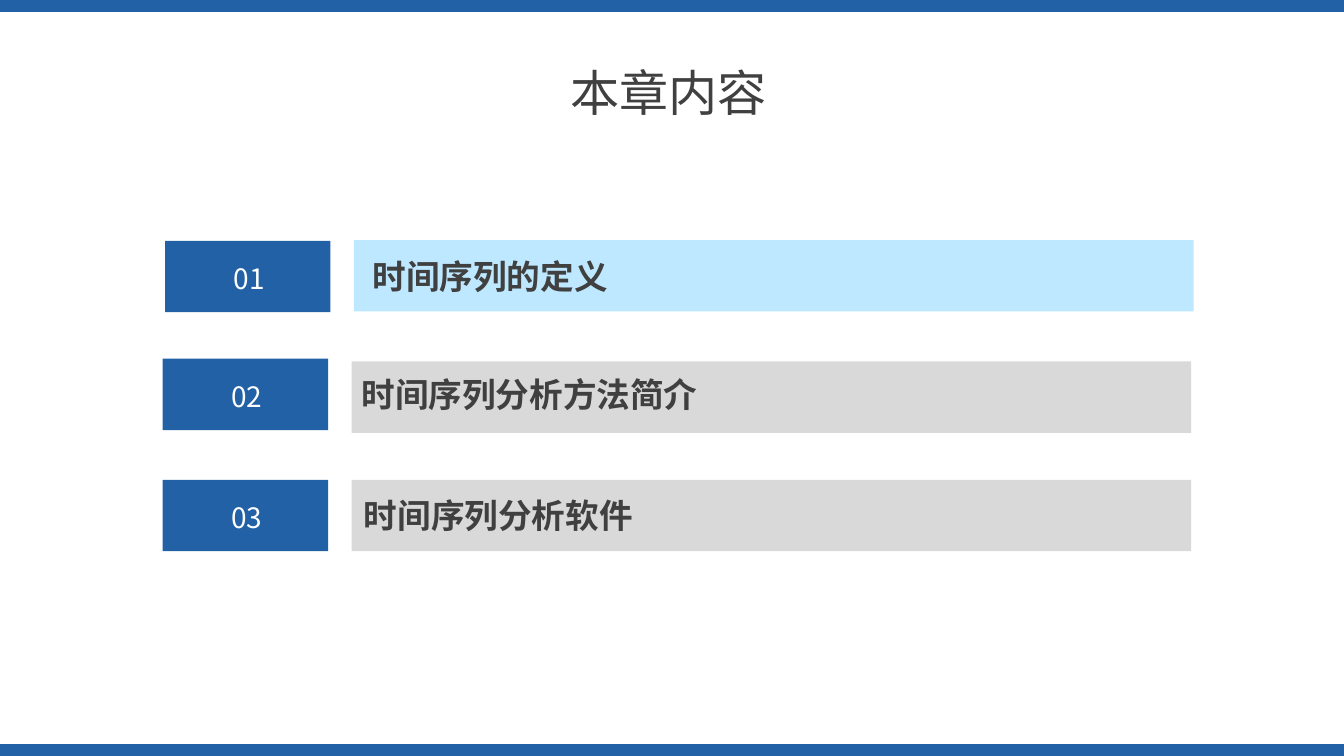
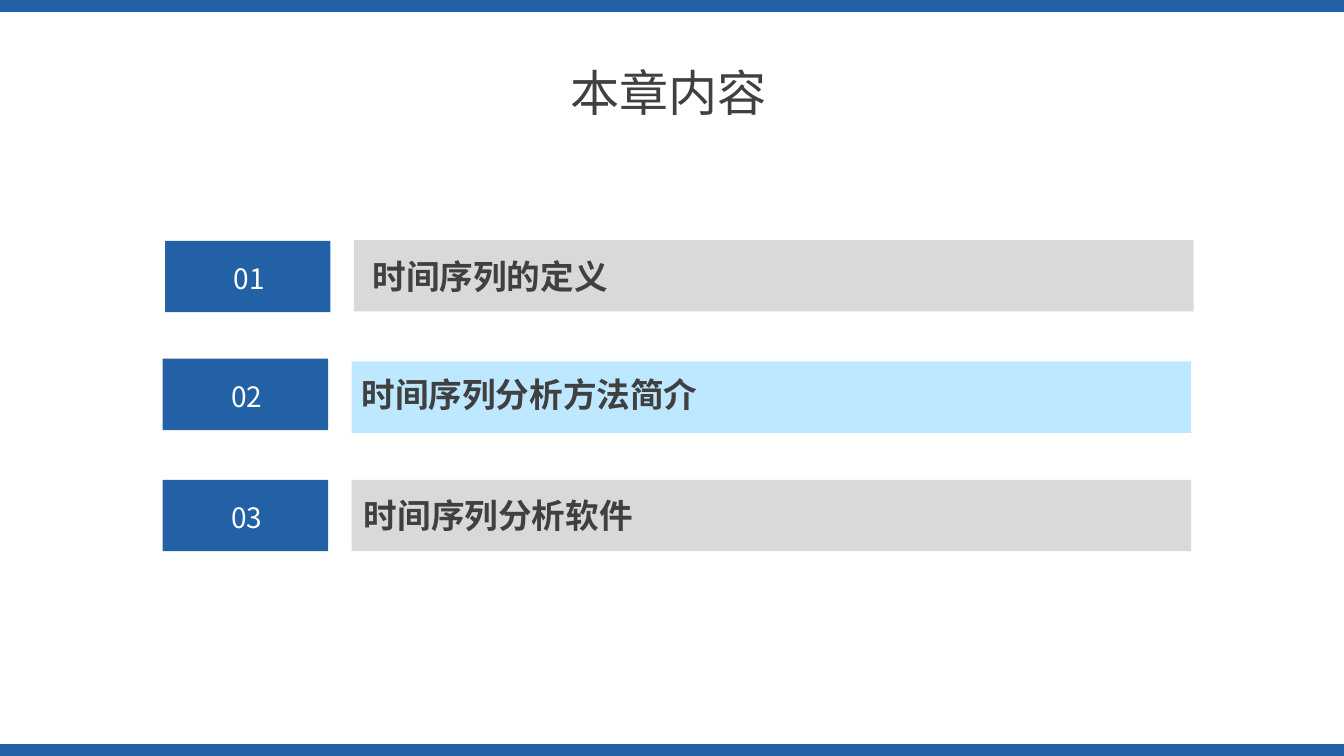
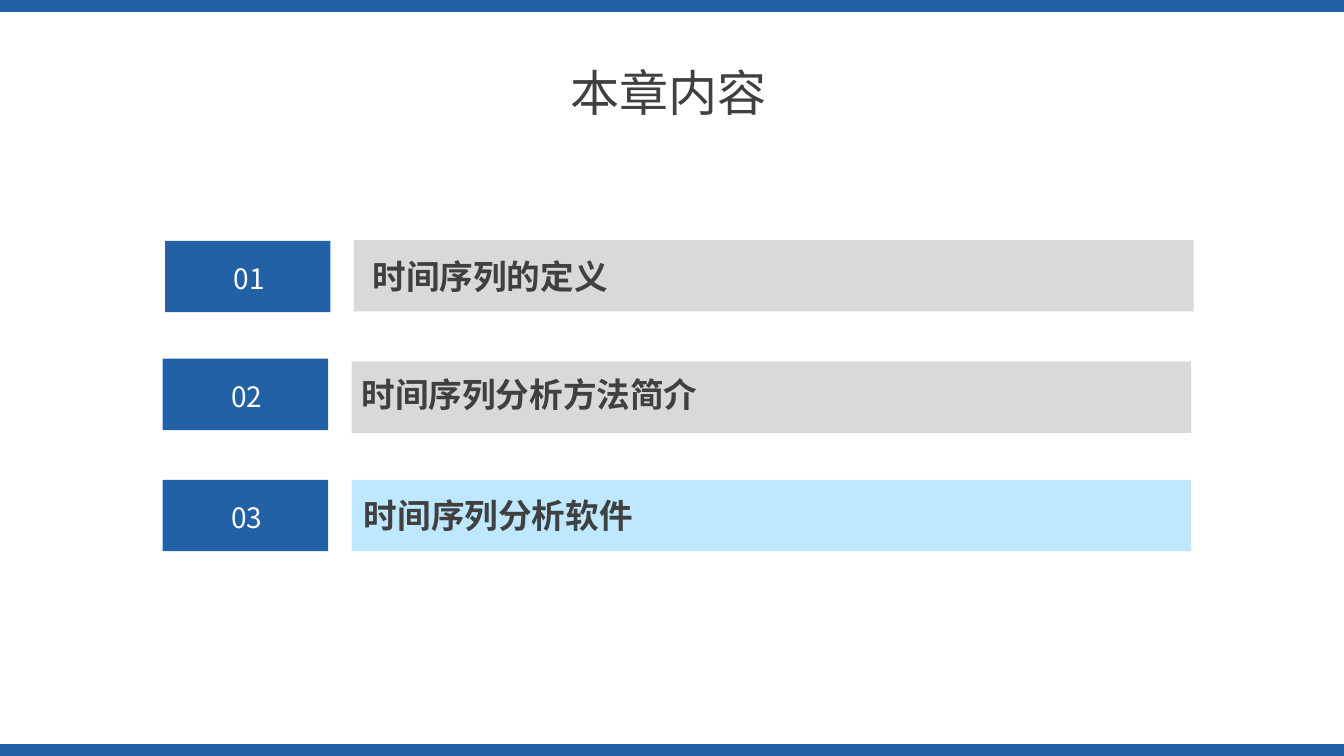
from pptx import Presentation
from pptx.dml.color import RGBColor
from pptx.enum.shapes import MSO_SHAPE
from pptx.enum.text import MSO_ANCHOR
from pptx.oxml.ns import qn
from pptx.util import Cm, Pt

RECT = MSO_SHAPE.RECTANGLE
TOP, MIDDLE = MSO_ANCHOR.TOP, MSO_ANCHOR.MIDDLE

COLORS = {
    "blue": "2261A6",
    "active": "BEE8FF",
    "idle": "D9D9D9",
    "ink": "404040",
    "white": "FFFFFF",
}
FONT = "Noto Sans CJK SC"

# Lengths in centimetres
SLIDE_W, SLIDE_H = 33.87, 19.05
BAND_H = 0.3
ROW_H = 1.8
BADGE_W = 4.17
BAR_DX, BAR_W = 4.76, 21.16
TEXT_DY = 0.4

TITLE = "本章内容"
# Chapter, row left, row top, bar offset down, label offset from row left
CHAPTERS = [
    ("时间序列的定义", 4.16, 6.07, -0.02, 4.98),
    ("时间序列分析方法简介", 4.1, 9.04, 0.07, 4.76),
    ("时间序列分析软件", 4.1, 12.09, 0, 4.82),
]


def add_rect(s, x, y, w, h, color):
    sp = s.shapes.add_shape(RECT, Cm(x), Cm(y), Cm(w), Cm(h))
    sp.shadow.inherit = False
    sp.fill.solid()
    sp.fill.fore_color.rgb = RGBColor.from_string(COLORS[color])
    sp.line.fill.background()


def add_text(s, x, y, w, h, text, size, color, bold=False, anchor=MIDDLE):
    tf = s.shapes.add_textbox(Cm(x), Cm(y), Cm(w), Cm(h)).text_frame
    tf.word_wrap = True
    tf.vertical_anchor = anchor
    tf.text = text
    r = tf.paragraphs[0].runs[0]
    r.font.name = FONT
    r.font.size = Pt(size)
    r.font.bold = bold
    r.font.color.rgb = RGBColor.from_string(COLORS[color])
    # East Asian typeface
    ea = r.font._element.makeelement(qn("a:ea"), {"typeface": FONT})
    r.font._element.find(qn("a:latin")).addnext(ea)


def add_frame(s):
    """Bands and title shared by all slides."""
    for y in (0, SLIDE_H - BAND_H):
        add_rect(s, 0, y, SLIDE_W, BAND_H, "blue")
    add_text(s, 14.12, 1.42, 5.64, 1.8, TITLE, 35.1, "ink")


def add_row(s, x, y, number, chapter, bar_dy, label_dx, active):
    """Numbered badge and chapter bar, placed from the row's top left."""
    add_rect(s, x, y, BADGE_W, ROW_H, "blue")
    add_rect(s, x + BAR_DX, y + bar_dy, BAR_W, ROW_H,
             "active" if active else "idle")
    add_text(s, x + 1.48, y + TEXT_DY, 1.3, 1.12, f"{number:02d}",
             20, "white", anchor=TOP)
    add_text(s, x + label_dx, y + TEXT_DY, 14.4, 0.96, chapter,
             24, "ink", bold=True)


def add_agenda(prs, current):
    """Agenda slide with the current chapter highlighted."""
    s = prs.slides.add_slide(prs.slide_layouts[6])
    add_frame(s)
    for i, (chapter, x, y, bar_dy, label_dx) in enumerate(CHAPTERS, 1):
        add_row(s, x, y, i, chapter, bar_dy, label_dx, i == current)


def main():
    prs = Presentation()
    prs.slide_width, prs.slide_height = Cm(SLIDE_W), Cm(SLIDE_H)
    for current in range(1, len(CHAPTERS) + 1):
        add_agenda(prs, current)
    prs.save("out.pptx")


if __name__ == "__main__":
    main()
